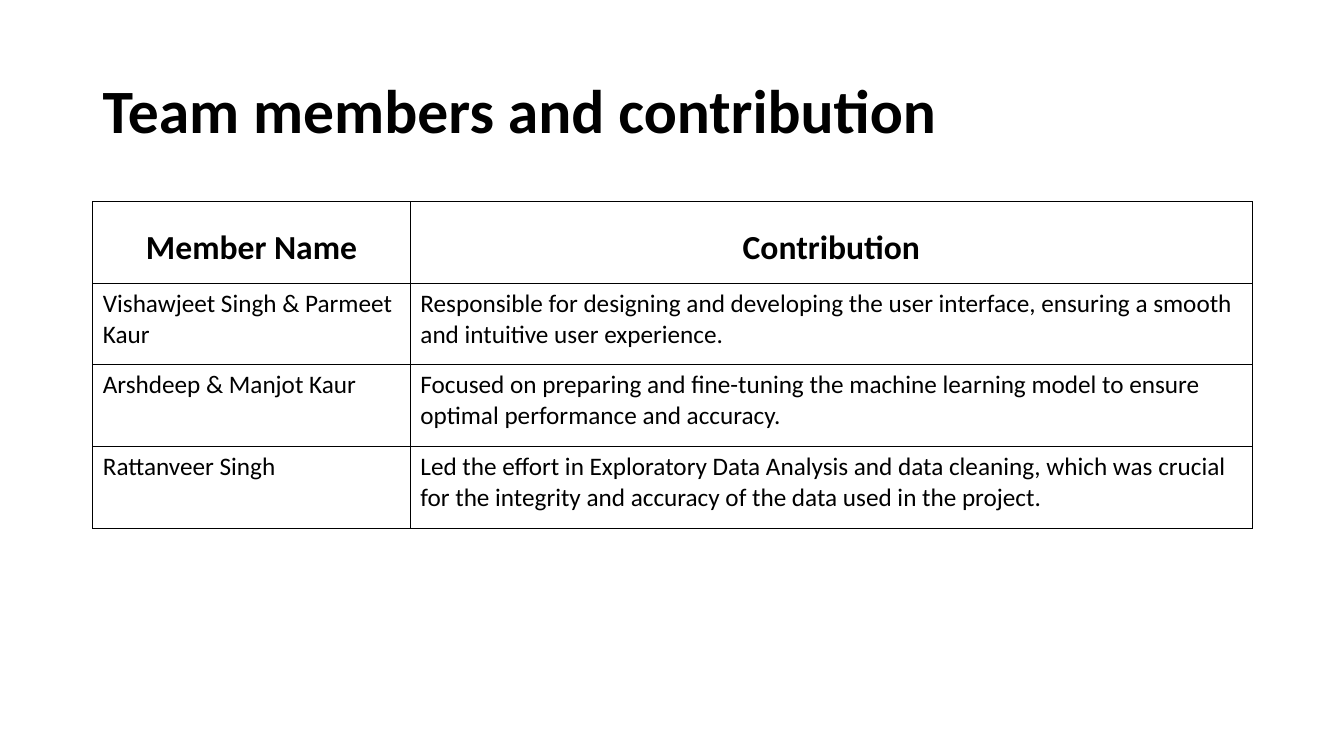
from lxml import etree
from pptx import Presentation
from pptx.dml.color import RGBColor
from pptx.enum.text import MSO_ANCHOR, PP_ALIGN
from pptx.oxml.ns import qn
from pptx.util import Pt

PX = 9144  # EMU per px, 100 px to the inch
SLIDE_SIZE = (1333, 750)
TITLE_BOX = (92, 40, 1150, 145)
TABLE_BOX = (92, 200, 1150, 324)
NAME_WIDTH = 315

LEFT, CENTER = PP_ALIGN.LEFT, PP_ALIGN.CENTER
MIDDLE = MSO_ANCHOR.MIDDLE
COLORS = {"ink": "000000", "paper": "FFFFFF"}
FONT_NAME = "Calibri"
BORDER_WIDTH = Pt(1)

TITLE_FORMAT = {
    "font": {"size": Pt(44), "bold": True},
    "paragraph": {"alignment": LEFT, "line_spacing": 0.9},
}
HEADER_FORMAT = {
    "font": {"size": Pt(24), "bold": True},
    "paragraph": {"alignment": CENTER, "line_spacing": 1.5},
}
BODY_FORMAT = {
    "font": {"size": Pt(18), "bold": False},
    "paragraph": {"alignment": LEFT},
}

ROWS = [
    ("Member Name", "Contribution"),
    ("Vishawjeet Singh & Parmeet Kaur",
     "Responsible for designing and developing the user interface, "
     "ensuring a smooth and intuitive user experience."),
    ("Arshdeep & Manjot Kaur",
     "Focused on preparing and fine-tuning the machine learning model "
     "to ensure optimal performance and accuracy."),
    ("Rattanveer Singh",
     "Led the effort in Exploratory Data Analysis and data cleaning, which was "
     "crucial for the integrity and accuracy of the data used in the project."),
]


def to_emu(box):
    return [length * PX for length in box]


def write_text(text_frame, text, text_format):
    paragraph = text_frame.paragraphs[0]
    for name, value in text_format["paragraph"].items():
        setattr(paragraph, name, value)
    run = paragraph.add_run()
    run.text = text
    run.font.name = FONT_NAME
    run.font.color.rgb = RGBColor.from_string(COLORS["ink"])
    for name, value in text_format["font"].items():
        setattr(run.font, name, value)


def add_borders(cell):
    properties = cell._tc.get_or_add_tcPr()
    # Border lines come before the fill in the cell properties
    for position, side in enumerate(("lnL", "lnR", "lnT", "lnB")):
        line = etree.Element(qn(f"a:{side}"), w=str(BORDER_WIDTH))
        fill = etree.SubElement(line, qn("a:solidFill"))
        etree.SubElement(fill, qn("a:srgbClr"), val=COLORS["ink"])
        properties.insert(position, line)


def add_title(slide, box):
    shape = slide.shapes.add_textbox(*to_emu(box))
    shape.text_frame.word_wrap = True
    shape.text_frame.vertical_anchor = MIDDLE
    write_text(shape.text_frame, "Team members and contribution", TITLE_FORMAT)


def add_contributions(slide, box):
    width, height = box[2:]
    shape = slide.shapes.add_table(len(ROWS), len(ROWS[0]), *to_emu(box))
    table = shape.table
    table.horz_banding = False
    table.first_row = False

    # Columns and equal rows
    for column, column_width in zip(table.columns, (NAME_WIDTH, width - NAME_WIDTH)):
        column.width = column_width * PX
    for row in table.rows:
        row.height = height // len(ROWS) * PX

    # Cells
    for row_index, texts in enumerate(ROWS):
        text_format = BODY_FORMAT if row_index else HEADER_FORMAT
        for column_index, text in enumerate(texts):
            cell = table.cell(row_index, column_index)
            cell.fill.solid()
            cell.fill.fore_color.rgb = RGBColor.from_string(COLORS["paper"])
            add_borders(cell)
            write_text(cell.text_frame, text, text_format)


def main():
    presentation = Presentation()
    presentation.slide_width, presentation.slide_height = to_emu(SLIDE_SIZE)
    slide = presentation.slides.add_slide(presentation.slide_layouts[6])
    add_title(slide, TITLE_BOX)
    add_contributions(slide, TABLE_BOX)
    presentation.save("out.pptx")


if __name__ == "__main__":
    main()
